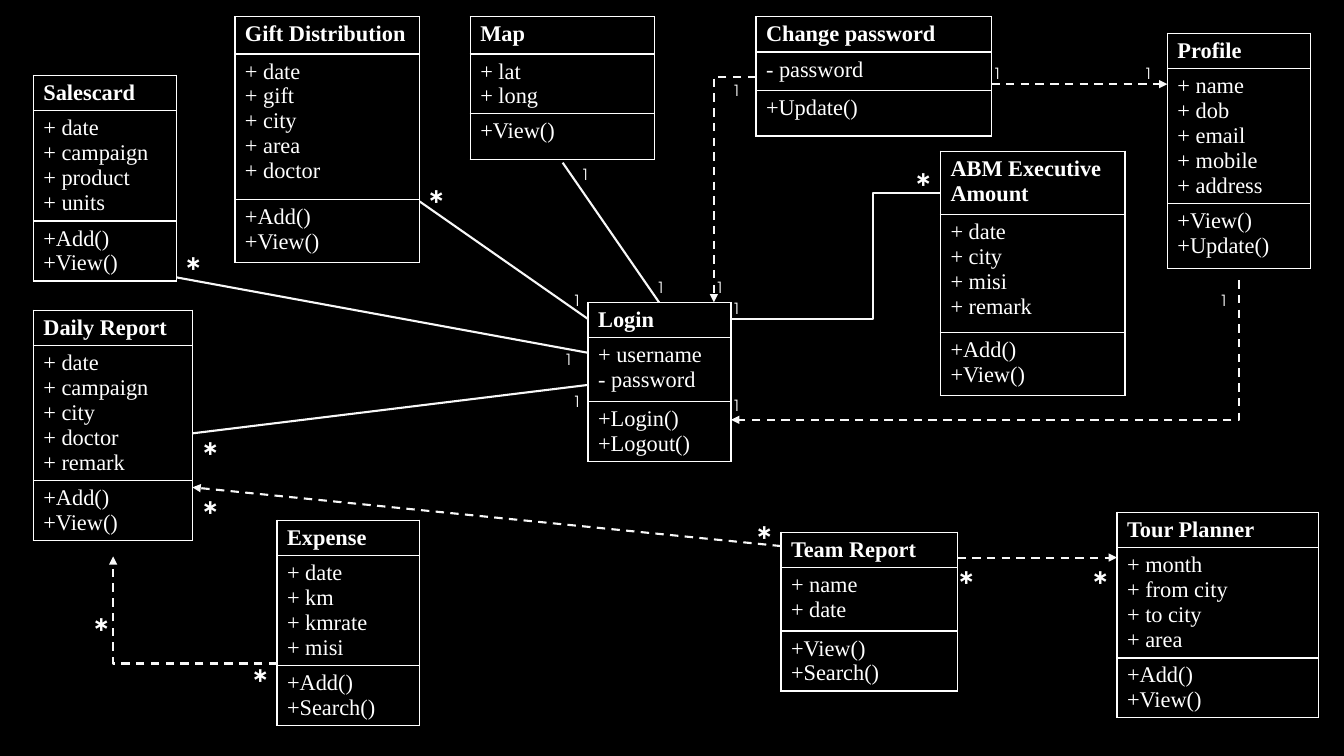
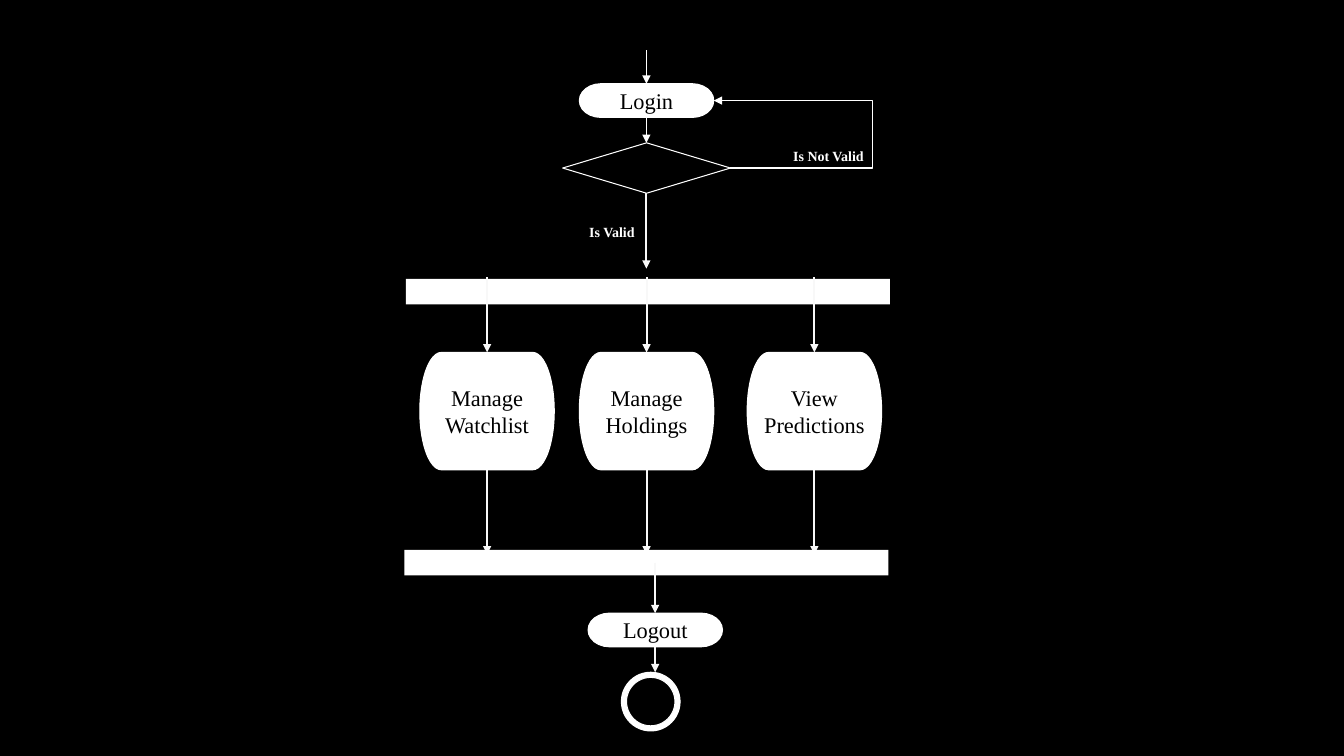
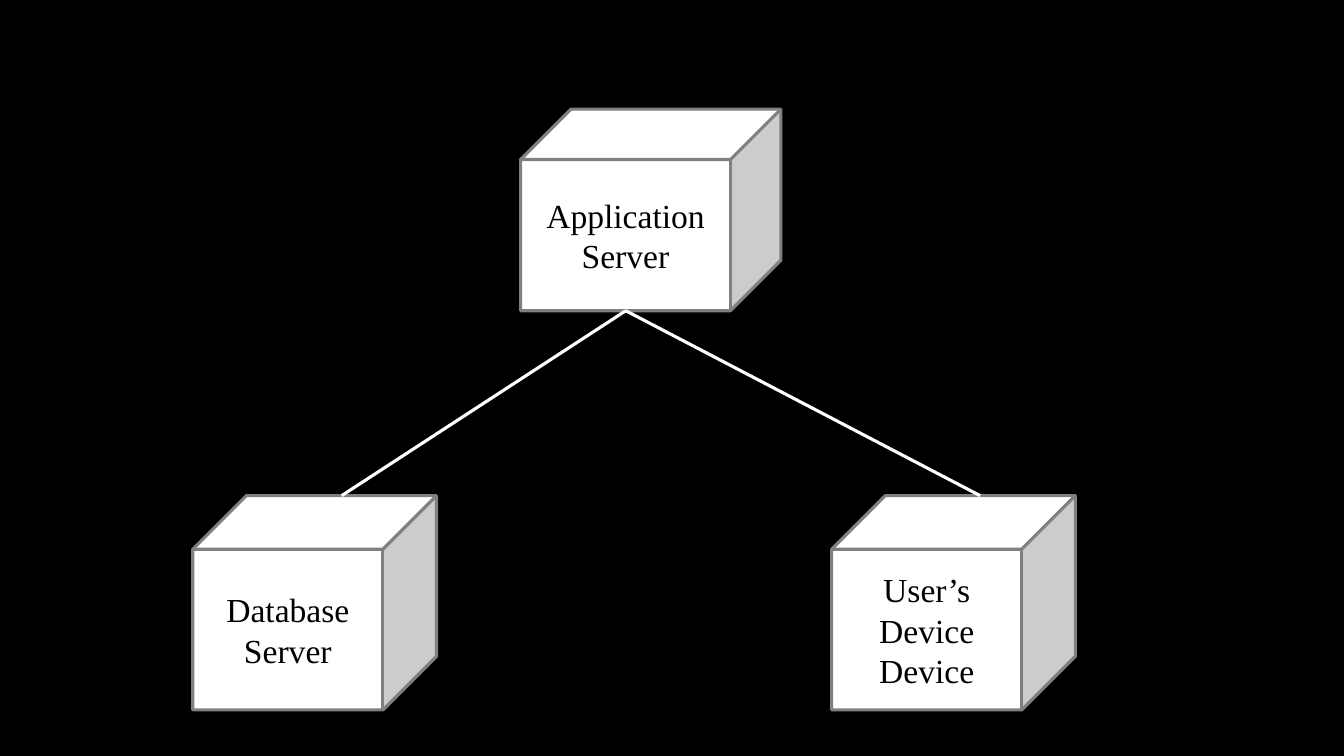
from math import cos, radians, sin

from lxml.etree import SubElement
from pptx import Presentation
from pptx.dml.color import RGBColor
from pptx.enum.dml import MSO_LINE_DASH_STYLE as Dash
from pptx.enum.shapes import MSO_CONNECTOR_TYPE as Link
from pptx.enum.shapes import MSO_SHAPE as Preset
from pptx.enum.text import MSO_ANCHOR as Anchor
from pptx.enum.text import MSO_AUTO_SIZE as AutoSize
from pptx.enum.text import PP_ALIGN as Align
from pptx.oxml import parse_xml
from pptx.oxml.ns import nsdecls, qn
from pptx.util import Cm, Pt

BLACK = RGBColor(0x00, 0x00, 0x00)
WHITE = RGBColor(0xFF, 0xFF, 0xFF)
SOFT_WHITE = RGBColor(0xF8, 0xF8, 0xF8)
GRAY = RGBColor(0x80, 0x80, 0x80)
SERIF = "Times New Roman"
SANS = "TeX Gyre Adventor"


def write(frame, text, size=16, font=SERIF, color=WHITE, bold=False, align=Align.LEFT):
    for index, line in enumerate(text.split("\n")):
        para = frame.add_paragraph() if index else frame.paragraphs[0]
        para.alignment = align
        span = para.add_run()
        span.text = line
        span.font.size = Pt(size)
        span.font.name = font
        span.font.bold = bold
        span.font.color.rgb = color


class Deck:
    def __init__(self):
        self.deck = Presentation()
        self.deck.slide_width = Cm(33.87)
        self.deck.slide_height = Cm(19.05)
        fill = self.deck.slide_master.background.fill
        fill.solid()
        fill.fore_color.rgb = BLACK
        self.page = None

    def add_page(self):
        self.page = self.deck.slides.add_slide(self.deck.slide_layouts[6])

    def class_table(self, left, top, width, heights, texts):
        frame = self.page.shapes.add_table(
            len(texts), 1, Cm(left), Cm(top), Cm(width), Cm(sum(heights)))
        table = frame.table
        table.first_row = table.horz_banding = False
        for index, (height, text) in enumerate(zip(heights, texts)):
            table.rows[index].height = Cm(height)
            cell = table.cell(index, 0)
            write(cell.text_frame, text, bold=index == 0)
            self.cell_borders(cell)
            cell.fill.background()

    def cell_borders(self, cell):
        properties = cell._tc.get_or_add_tcPr()
        for side in "LRTB":
            properties.append(parse_xml(
                f'<a:ln{side} {nsdecls("a")} w="{Pt(1)}"><a:solidFill>'
                f'<a:srgbClr val="{WHITE}"/></a:solidFill></a:ln{side}>'))

    def shape(self, preset, left, top, width, height, text="", size=16,
              fill=WHITE, line=WHITE, weight=0.75):
        shape = self.page.shapes.add_shape(
            preset, Cm(left), Cm(top), Cm(width), Cm(height))
        shape.shadow.inherit = False
        if fill is None:
            shape.fill.background()
        else:
            shape.fill.solid()
            shape.fill.fore_color.rgb = fill
        if line is None:
            shape.line.fill.background()
        else:
            shape.line.color.rgb = line
            shape.line.width = Pt(weight)
        if text:
            frame = shape.text_frame
            frame.word_wrap = True
            frame.vertical_anchor = Anchor.MIDDLE
            frame.margin_left = frame.margin_right = Cm(0.15)
            write(frame, text, size=size, color=BLACK, align=Align.CENTER)
        return shape

    def label(self, left, top, width, height, text, anchor=Anchor.TOP, **style):
        box = self.page.shapes.add_textbox(Cm(left), Cm(top), Cm(width), Cm(height))
        frame = box.text_frame
        frame.word_wrap = True
        frame.auto_size = AutoSize.SHAPE_TO_FIT_TEXT
        frame.vertical_anchor = anchor
        write(frame, text, **style)

    def line(self, start, end, color=SOFT_WHITE, weight=1.5, dashed=False,
             arrow=False, bend=None, turn=0, adjust=None, glue=None):
        middle_x, middle_y = (start[0] + end[0]) / 2, (start[1] + end[1]) / 2
        cosine, sine = cos(radians(turn)), sin(radians(turn))
        ends = []
        for x, y in (start, end):
            across, down = x - middle_x, y - middle_y
            ends += [Cm(middle_x + across * cosine + down * sine),
                     Cm(middle_y - across * sine + down * cosine)]
        connector = self.page.shapes.add_connector(
            Link.ELBOW if bend else Link.STRAIGHT, *ends)
        if glue:
            (first, first_site), (last, last_site) = glue
            connector.begin_connect(first, first_site)
            connector.end_connect(last, last_site)
        connector.line.color.rgb = color
        connector.line.width = Pt(weight)
        if dashed:
            connector.line.dash_style = Dash.DASH
        properties = connector._element.spPr
        if arrow:
            SubElement(properties.find(qn("a:ln")), qn("a:tailEnd"), type="triangle")
        if turn:
            properties.find(qn("a:xfrm")).set("rot", str(turn * 60000))
        if bend:
            geometry = properties.find(qn("a:prstGeom"))
            geometry.set("prst", bend)
            if adjust is not None:
                values = geometry.find(qn("a:avLst"))
                if values is None:
                    values = SubElement(geometry, qn("a:avLst"))
                SubElement(values, qn("a:gd"), name="adj1",
                           fmla=f"val {round(adjust * 100000)}")
        SubElement(properties, qn("a:effectLst"))


def class_diagram(deck):
    deck.add_page()
    actions = "+Add()\n+View()"
    tables = [
        (0.84, 7.82, 4.02, (0.89, 3.4, 1.51),
         ("Daily Report", "+ date\n+ campaign\n+ city\n+ doctor\n+ remark", actions)),
        (0.84, 1.9, 3.6, (0.89, 2.78, 1.51),
         ("Salescard", "+ date\n+ campaign\n+ product\n+ units", actions)),
        (14.82, 7.62, 3.6, (0.89, 1.6, 1.51),
         ("Login", "+ username\n- password", "+Login()\n+Logout()")),
        (6.98, 13.11, 3.6, (0.89, 2.78, 1.51),
         ("Expense", "+ date\n+ km\n+ kmrate\n+ misi", "+Add()\n+Search()")),
        (28.15, 12.91, 5.08, (0.89, 2.78, 1.51),
         ("Tour Planner", "+ month\n+ from city\n+ to city\n+ area", actions)),
        (29.42, 0.84, 3.6, (0.89, 3.4, 1.64),
         ("Profile", "+ name\n+ dob\n+ email\n+ mobile\n+ address", "+View()\n+Update()")),
        (19.68, 13.41, 4.45, (0.89, 1.6, 1.51),
         ("Team Report", "+ name\n+ date", "+View()\n+Search()")),
        (19.05, 0.42, 5.93, (0.89, 0.98, 1.14),
         ("Change password", "- password", "+Update()")),
        (11.85, 0.42, 4.65, (0.94, 1.51, 1.14), ("Map", "+ lat\n+ long", "+View()")),
        (5.92, 0.42, 4.65, (0.94, 3.66, 1.6),
         ("Gift Distribution", "+ date\n+ gift\n+ city\n+ area\n+ doctor", actions)),
        (23.7, 3.81, 4.65, (1.6, 2.96, 1.6),
         ("ABM Executive Amount", "+ date\n+ city\n+ misi\n+ remark", actions)),
    ]
    for table in tables:
        deck.class_table(*table)

    associations = [
        ((14.82, 9.7), (4.85, 10.92)),
        ((16.61, 7.62), (14.18, 4.1)),
        ((14.82, 8.89), (4.45, 6.99)),
        ((10.58, 5.08), (14.82, 8.04)),
    ]
    for start, end in associations:
        deck.line(start, end)
    deck.line((23.7, 4.87), (18.42, 8.04), bend="bentConnector3", turn=180, adjust=0.32)

    dependencies = [
        ((24.98, 2.12), (29.42, 2.12)),
        ((24.13, 14.05), (28.15, 14.05)),
        ((19.68, 13.76), (4.85, 12.28)),
    ]
    for start, end in dependencies:
        deck.line(start, end, dashed=True, arrow=True)
    bent_dependencies = [
        ((19.05, 1.93), (17.99, 7.62), 180),
        ((31.22, 7.06), (18.42, 10.58), 90),
        ((6.98, 16.72), (2.85, 14.02), 180),
    ]
    for start, end, turn in bent_dependencies:
        deck.line(start, end, dashed=True, arrow=True, bend="bentConnector2", turn=turn)

    ones = [(14.18, 9.74), (13.97, 8.68), (16.29, 6.88), (14.39, 4.02),
            (18.2, 1.91), (17.78, 6.88), (18.2, 9.84), (30.48, 7.2),
            (14.18, 7.2), (18.2, 7.41), (24.77, 1.48), (28.58, 1.48)]
    stars = [(4.45, 6.14), (4.87, 10.8), (2.12, 15.24), (6.14, 16.51),
             (4.87, 12.28), (27.31, 14.05), (23.92, 14.05), (18.84, 12.91),
             (10.58, 4.45), (22.86, 4.02)]
    for text, places, height, size in (("1", ones, 0.73, 11), ("*", stars, 1.28, 24)):
        for left, top in places:
            deck.label(left, top, 0.85, height, text, anchor=Anchor.MIDDLE,
                       size=size, font=SANS)


def activity_diagram(deck):
    deck.add_page()
    pill_width, pill_height, task_height = 3.39, 0.85, 2.96
    center, exit_center = 16.29, 16.51
    decision = deck.shape(Preset.FLOWCHART_DECISION, 14.18, 3.6, 4.23, 1.27, fill=None)
    login = deck.shape(Preset.FLOWCHART_TERMINATOR, 14.6, 2.11, pill_width,
                       pill_height, "Login")
    deck.line((18.41, 4.24), (17.99, 2.54), color=WHITE, weight=0.75, arrow=True,
              bend="bentConnector3", adjust=-8.54, glue=((decision, 3), (login, 3)))
    deck.label(14.6, 5.5, 1.98, 0.68, "Is Valid", size=10, bold=True)
    deck.label(19.74, 3.6, 2.69, 0.68, "Is Not Valid", size=10, bold=True)
    for top, bottom in ((1.27, 2.11), (2.96, 3.6)):
        deck.line((center, top), (center, bottom), color=WHITE, weight=0.75, arrow=True)
    deck.line((center, 4.87), (center, 6.77), arrow=True)

    deck.shape(Preset.RECTANGLE, 10.23, 7.03, 12.2, 0.64, line=None)
    tasks = [(10.58, "Manage Watchlist"), (14.6, "Manage Holdings"),
             (18.83, "View Predictions")]
    for left, text in tasks:
        middle = left + pill_width / 2
        deck.line((middle, 6.98), (middle, 8.88), arrow=True)
        deck.line((middle, 11.85), (middle, 13.97), arrow=True)
        deck.shape(Preset.FLOWCHART_TERMINATOR, left, 8.88, pill_width, task_height, text)
    deck.shape(Preset.RECTANGLE, 10.19, 13.86, 12.2, 0.64, line=None)

    for top, bottom in ((14.18, 15.45), (16.3, 16.94)):
        deck.line((exit_center, top), (exit_center, bottom), arrow=True)
    deck.shape(Preset.FLOWCHART_TERMINATOR, 14.82, 15.45, pill_width, pill_height, "Logout")
    deck.shape(Preset.OVAL, 15.66, 16.94, 1.48, 1.48)
    deck.shape(Preset.OVAL, 15.79, 17.07, 1.22, 1.22, fill=BLACK)


def deployment_diagram(deck):
    deck.add_page()
    servers = [
        (13.12, 2.75, 6.56, 5.08, "Application Server"),
        (4.86, 12.49, 6.14, 5.4, "Database\nServer"),
        (20.96, 12.49, 6.14, 5.4, "User’s Device\nDevice"),
    ]
    for server in servers:
        deck.shape(Preset.CUBE, *server, size=24, line=GRAY, weight=2.25)
    for end_x in (8.61, 24.7):
        deck.line((15.77, 7.83), (end_x, 12.49), color=WHITE, weight=2.25)


def main():
    deck = Deck()
    class_diagram(deck)
    activity_diagram(deck)
    deployment_diagram(deck)
    deck.deck.save("out.pptx")


if __name__ == "__main__":
    main()
